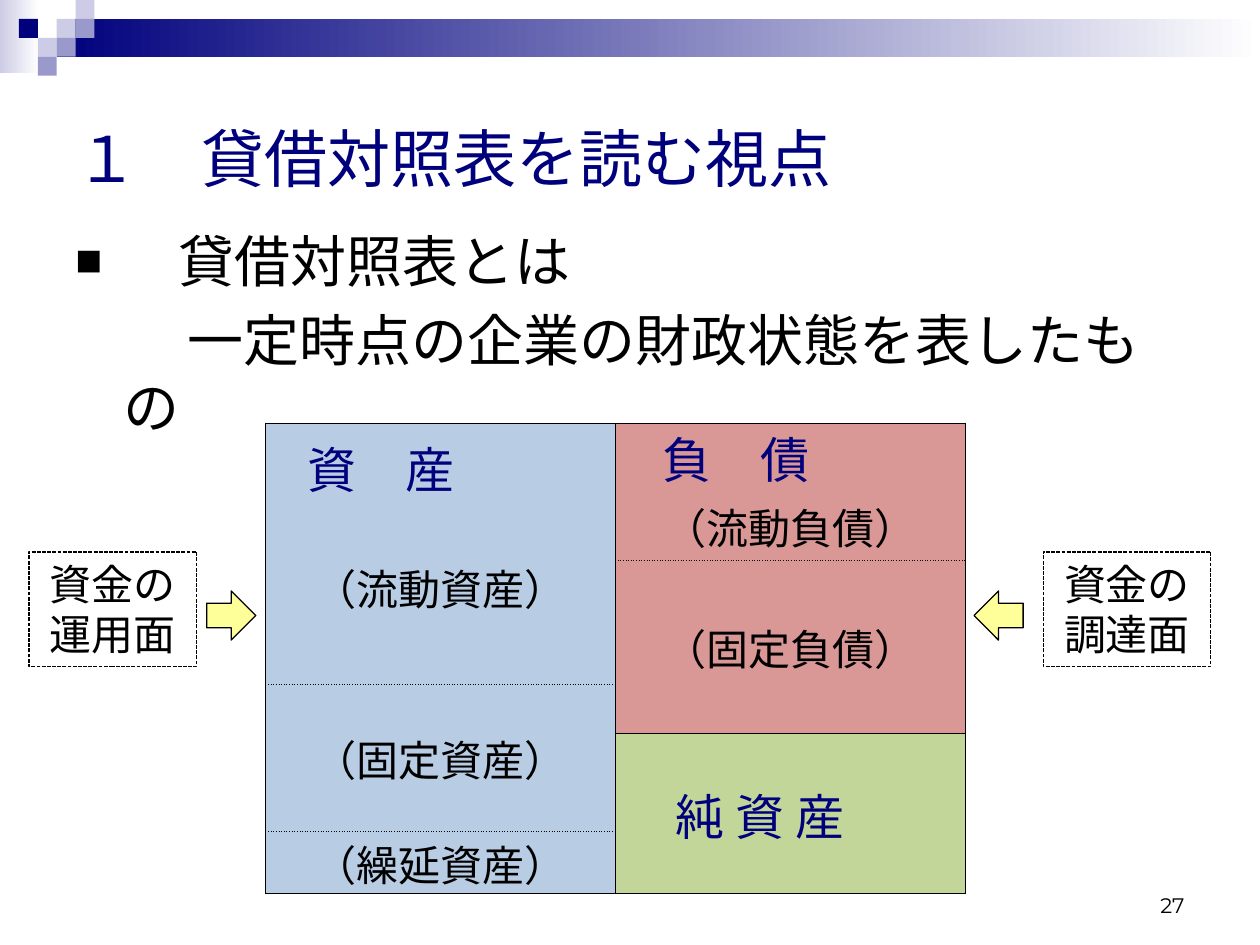
from dataclasses import dataclass

from lxml.etree import SubElement
from pptx import Presentation
from pptx.dml.color import RGBColor
from pptx.enum.dml import MSO_LINE_DASH_STYLE as Dash
from pptx.enum.lang import MSO_LANGUAGE_ID as Language
from pptx.enum.shapes import MSO_SHAPE as Shape
from pptx.enum.text import MSO_ANCHOR as Anchor, PP_ALIGN as Align
from pptx.oxml import parse_xml
from pptx.oxml.ns import nsdecls, qn
from pptx.util import Inches, Pt


@dataclass(frozen=True)
class Theme:
    navy: str = "00007D"
    lavender: str = "CCCCE6"
    violet: str = "9999CC"
    white: str = "FFFFFF"
    black: str = "000000"
    asset: str = "B8CCE4"
    debt: str = "D99795"
    equity: str = "C2D69A"
    arrow: str = "FFFF99"
    latin: str = "Arial"
    japanese: str = "Noto Sans CJK JP"
    number_font: str = "Montserrat"
    title: int = 36
    body: int = 32
    heading: int = 28
    label: int = 24
    number: int = 12
    line: float = 0.75
    border: float = 0.5


THEME = Theme()
COLUMNS, ROWS = 100, 75
TILE = 1.5


def rgb(colour):
    return RGBColor.from_string(colour)


def write(paragraph, text, size=THEME.label, colour=THEME.black,
          font=THEME.latin, align=Align.LEFT):
    paragraph.alignment = align
    run = paragraph.add_run()
    run.text = text
    run.font.size = Pt(size)
    run.font.name = font
    run.font.color.rgb = rgb(colour)
    run.font.language_id = Language.JAPANESE
    run.font._element.find(qn("a:latin")).addnext(
        parse_xml(f'<a:ea {nsdecls("a")} typeface="{THEME.japanese}"/>'))


def indent(paragraph, left, first, bullet=None):
    """Set the left and first-line indents in inches, with an optional bullet."""
    properties = paragraph._p.get_or_add_pPr()
    properties.set("marL", str(Inches(left)))
    properties.set("indent", str(Inches(first)))
    if bullet:
        SubElement(properties, qn("a:buSzPct"), val="80000")
        SubElement(properties, qn("a:buFont"), typeface=THEME.latin)
        SubElement(properties, qn("a:buChar"), char=bullet)
    else:
        SubElement(properties, qn("a:buNone"))


def border(cell, **dashes):
    """Draw cell borders; sides L, R, T and B are solid unless a dash is named."""
    properties = cell._tc.get_or_add_tcPr()
    for place, side in enumerate("LRTB"):
        properties.insert(place, parse_xml(
            f'<a:ln{side} {nsdecls("a")} w="{Pt(THEME.border)}">'
            f'<a:solidFill><a:srgbClr val="{THEME.black}"/></a:solidFill>'
            f'<a:prstDash val="{dashes.get(side, "solid")}"/></a:ln{side}>'))


class SlideBuilder:
    """Places elements on a grid of COLUMNS by ROWS."""

    def __init__(self, deck, theme):
        self.theme = theme
        self.column = deck.slide_width / COLUMNS
        self.row = deck.slide_height / ROWS
        self.slide = deck.slides.add_slide(deck.slide_layouts[5])
        self.shapes = self.slide.shapes

    def box(self, left, top, width, height):
        return (round(left * self.column), round(top * self.row),
                round(width * self.column), round(height * self.row))

    def title(self, text, at):
        title = self.shapes.title
        title.left, title.top, title.width, title.height = self.box(*at)
        title.text_frame.vertical_anchor = Anchor.MIDDLE
        write(title.text_frame.paragraphs[0], text, size=self.theme.title,
              colour=self.theme.navy)

    def text(self, text, at, anchor=Anchor.TOP, **style):
        frame = self.shapes.add_textbox(*self.box(*at)).text_frame
        frame.word_wrap = True
        frame.vertical_anchor = anchor
        write(frame.paragraphs[0], text, **style)
        return frame

    def shape(self, kind, at, fill=None, fade=None, outline=None):
        shape = self.shapes.add_shape(kind, *self.box(*at))
        shape.shadow.inherit = False
        if fade:
            shape.fill.gradient()
            shape.fill.gradient_angle = 0
            for stop, colour in zip(shape.fill.gradient_stops, fade):
                stop.color.rgb = rgb(colour)
        elif fill:
            shape.fill.solid()
            shape.fill.fore_color.rgb = rgb(fill)
        else:
            shape.fill.background()
        if outline:
            shape.line.color.rgb = rgb(self.theme.black)
            shape.line.width = Pt(self.theme.line)
            shape.line.dash_style = outline
        else:
            shape.line.fill.background()
        return shape

    def side_note(self, text, at):
        note = self.shape(Shape.RECTANGLE, at, outline=Dash.SQUARE_DOT)
        note.text_frame.word_wrap = True
        note.text_frame.vertical_anchor = Anchor.TOP
        write(note.text_frame.paragraphs[0], text, align=Align.CENTER)

    def balance_sheet(self, at, heights, sides):
        """Fill each side with blocks of (rows, text, fill, borders, insets, style)."""
        table = self.shapes.add_table(len(heights), len(sides), *self.box(*at)).table
        table.first_row = table.horz_banding = False
        for row, height in zip(table.rows, heights):
            row.height = round(height * self.row)
        for column, blocks in enumerate(sides):
            first = 0
            for rows, text, fill, dashes, insets, style in blocks:
                cells = [table.cell(first + n, column) for n in range(rows)]
                for cell in cells:
                    cell.fill.solid()
                    cell.fill.fore_color.rgb = rgb(fill)
                    cell.margin_left = cell.margin_right = cell.margin_top = Inches(0.01)
                    cell.margin_bottom = 0
                block = cells[0]
                if rows > 1:
                    block.merge(cells[-1])
                block.vertical_anchor = Anchor.MIDDLE
                block.margin_left = Inches(insets.get("left", 0.01))
                block.margin_top = Inches(insets.get("top", 0.01))
                border(block, **dashes)
                write(block.text_frame.paragraphs[0], text, font=self.theme.japanese,
                      **style)
                first += rows


def main():
    deck = Presentation()
    deck.slide_width, deck.slide_height = Inches(10), Inches(7.5)
    page = SlideBuilder(deck, THEME)

    page.shape(Shape.RECTANGLE, (0, 0, 3.1, 5.8), fade=(THEME.lavender, THEME.white))
    page.shape(Shape.RECTANGLE, (4.5, 1.5, 95.5, 3), fade=(THEME.navy, THEME.white))
    mosaic = {THEME.lavender: [(3, 1), (4, 0), (2, 2)],
              THEME.violet: [(4, 1), (3, 2), (2, 3)],
              THEME.navy: [(1, 1)]}
    for colour, tiles in mosaic.items():
        for column, row in tiles:
            page.shape(Shape.RECTANGLE, (column * TILE, row * TILE, TILE, TILE),
                       fill=colour)

    page.title("１\u3000貸借対照表を読む視点".replace("\u3000", "　"), (5, 5, 90, 15))
    body = page.text("貸借対照表とは", (5, 17.5, 89.1, 13.8), size=THEME.body)
    indent(body.paragraphs[0], 0.82, -0.82, bullet="■")
    definition = body.add_paragraph()
    write(definition, "一定時点の企業の財政状態を表したもの", size=THEME.body)
    indent(definition, 0.38, 0.51)
    for paragraph in body.paragraphs:
        paragraph.space_before = Pt(THEME.body * 0.2)
    page.text("27", (71.7, 68.3, 23.3, 5), anchor=Anchor.BOTTOM, size=THEME.number,
              font=THEME.number_font, align=Align.RIGHT)

    centred = {"align": Align.CENTER}
    heading = {"size": THEME.heading, "colour": THEME.navy}
    below_heading = {"top": 0.54}
    above, below = {"T": "dot"}, {"B": "dot"}
    assets = [(2, "（流動資産）", THEME.asset, below, below_heading, centred),
              (2, "（固定資産）", THEME.asset, above | below, {}, centred),
              (1, "（繰延資産）", THEME.asset, above, {}, centred)]
    funding = [(1, "（流動負債）", THEME.debt, below, below_heading, centred),
               (2, "（固定負債）", THEME.debt, above, {}, centred),
               (2, "純 資 産", THEME.equity, {}, {"left": 0.48}, heading)]
    page.balance_sheet((21.1, 33.6, 55.5, 37.4), (10.9, 9.8, 3.9, 7.8, 4.9),
                       (assets, funding))
    page.text("資　産", (23.4, 34.4, 14.8, 5.7), **heading)
    page.text("負　債", (51.6, 33.6, 14.8, 5.7), **heading)

    for note, note_left, arrow, arrow_left in (
            ("資金の運用面", 2.3, Shape.RIGHT_ARROW, 16.4),
            ("資金の調達面", 82.8, Shape.LEFT_ARROW, 77.3)):
        page.side_note(note, (note_left, 43.8, 13.3, 9.1))
        page.shape(arrow, (arrow_left, 46.9, 3.9, 3.9), fill=THEME.arrow,
                   outline=Dash.SOLID)

    deck.save("out.pptx")


if __name__ == "__main__":
    main()
